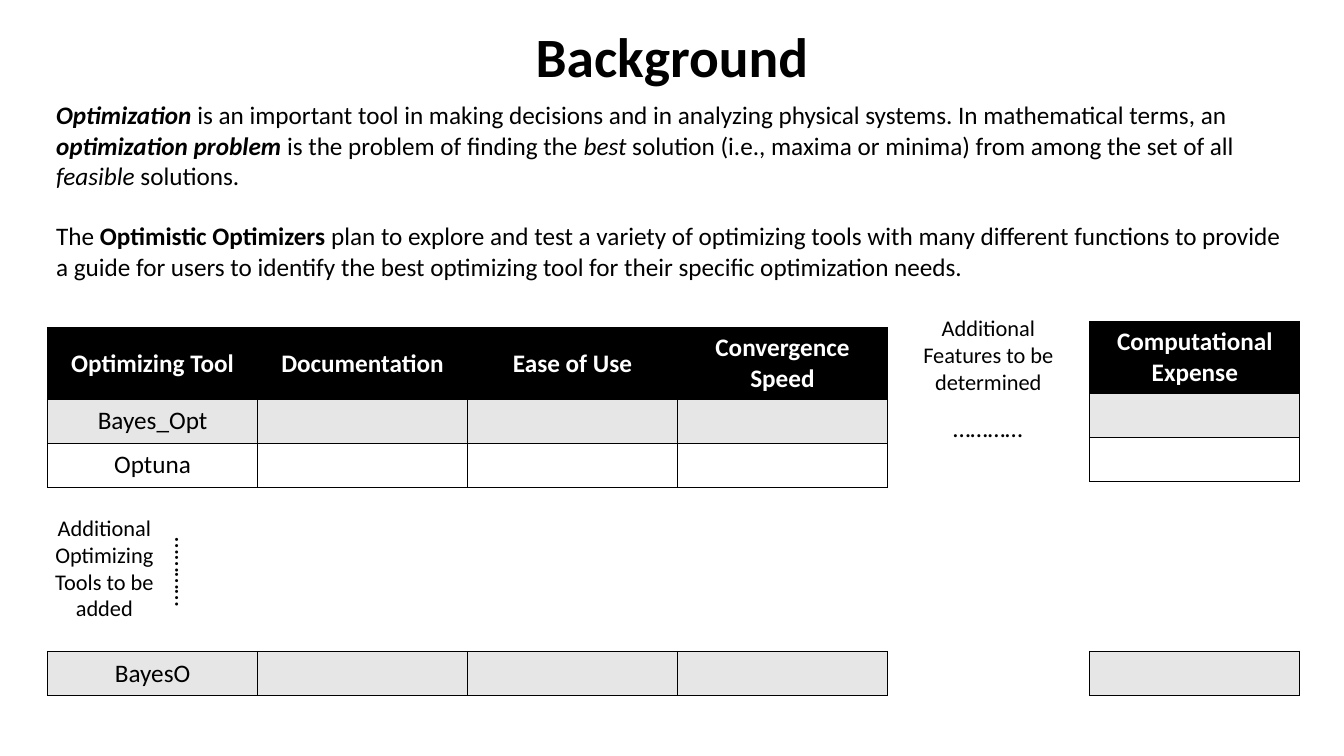
import pptx
import pptx.dml.color
import pptx.enum.text
import pptx.oxml
import pptx.oxml.ns
import pptx.util
from pptx.util import Pt

FONT = "Calibri"
BLACK, WHITE, GREY, LIGHT_GREY = "000000", "FFFFFF", "E7E6E6", "E7E7E7"
CENTER = pptx.enum.text.PP_ALIGN.CENTER
LEFT = pptx.enum.text.PP_ALIGN.LEFT
MIDDLE = pptx.enum.text.MSO_ANCHOR.MIDDLE

COLUMN_WIDTH = 150
HEADER_HEIGHT, ROW_HEIGHT = 51.1, 31.5
MAIN_LEFT, EXPENSE_LEFT = 34, 778.5
LAST_ROW_TOP = 465.3


def color(hex_string):
    return pptx.dml.color.RGBColor.from_string(hex_string)


def add_run(paragraph, text, size, hex_color=BLACK, style=""):
    """Style holds "b" for bold and "i" for italic."""
    run = paragraph.add_run()
    run.text = text
    run.font.name = FONT
    run.font.size = Pt(size)
    run.font.bold = "b" in style
    run.font.italic = "i" in style
    run.font.color.rgb = color(hex_color)


def set_title(slide, text):
    title = slide.shapes.title
    title.left, title.top, title.width, title.height = Pt(66), Pt(18.7), Pt(828), Pt(50.4)
    frame = title.text_frame
    frame.auto_size = pptx.enum.text.MSO_AUTO_SIZE.NONE
    frame.vertical_anchor = MIDDLE
    paragraph = frame.paragraphs[0]
    paragraph.alignment = CENTER
    paragraph.line_spacing = 0.8
    add_run(paragraph, text, 39.6, style="b")


def add_text(slide, left, top, width, height, paragraphs, size,
             alignment=CENTER, gap=0, rotation=0):
    """Each paragraph is a list of (text, style) runs."""
    box = slide.shapes.add_textbox(Pt(left), Pt(top), Pt(width), Pt(height))
    box.rotation = rotation
    frame = box.text_frame
    frame.word_wrap = True
    for index, runs in enumerate(paragraphs):
        paragraph = frame.add_paragraph() if index else frame.paragraphs[0]
        paragraph.alignment = alignment
        paragraph.space_before = Pt(gap if index else 0)
        for text, style in runs:
            add_run(paragraph, text, size, style=style)


def add_borders(cell):
    properties = cell._tc.get_or_add_tcPr()
    for side in ("lnL", "lnR", "lnT", "lnB"):
        properties.append(pptx.oxml.parse_xml(
            f'<a:{side} {pptx.oxml.ns.nsdecls("a")} w="{Pt(1)}">'
            f'<a:solidFill><a:srgbClr val="{BLACK}"/></a:solidFill></a:{side}>'))


def add_table(slide, left, top, rows, fills):
    """A row filled with black is a header."""
    heights = [HEADER_HEIGHT if fill == BLACK else ROW_HEIGHT for fill in fills]
    column_count = len(rows[0])
    table = slide.shapes.add_table(
        len(rows), column_count, Pt(left), Pt(top),
        Pt(column_count * COLUMN_WIDTH), Pt(sum(heights))).table
    table.first_row = fills[0] == BLACK
    table.horz_banding = False
    for column in table.columns:
        column.width = Pt(COLUMN_WIDTH)
    for row, height, texts, fill in zip(table.rows, heights, rows, fills):
        row.height = Pt(height)
        is_header = fill == BLACK
        for cell, text in zip(row.cells, texts):
            add_borders(cell)
            cell.fill.solid()
            cell.fill.fore_color.rgb = color(fill)
            cell.vertical_anchor = MIDDLE
            if text:
                paragraph = cell.text_frame.paragraphs[0]
                paragraph.alignment = CENTER
                add_run(paragraph, text, 18, WHITE if is_header else BLACK,
                        "b" if is_header else "")


def main():
    presentation = pptx.Presentation()
    presentation.slide_width, presentation.slide_height = Pt(960), Pt(540)
    slide = presentation.slides.add_slide(presentation.slide_layouts[5])
    set_title(slide, "Background")

    # Introduction; no-break spaces keep the emphasised terms with their neighbours
    definition = [
        ("Optimization", "bi"),
        (" is an important tool in making decisions and in analyzing physical systems. "
         "In mathematical terms, an ", ""),
        ("optimization problem", "bi"),
        (" is the problem of finding the ", ""),
        ("best", "i"),
        (" solution (i.e., maxima or minima) from among the set of all ", ""),
        ("feasible", "i"),
        (" solutions.", ""),
    ]
    plan = [
        ("The ", ""),
        ("Optimistic Optimizers", "b"),
        (" plan to explore and test a variety of optimizing tools with many different "
         "functions to provide a guide for users to identify the best optimizing tool "
         "for their specific optimization needs.", ""),
    ]
    add_text(slide, 33, 67.7, 894.3, 138.2, [definition, plan], 18, LEFT, gap=21.6)

    # Comparison tables
    add_table(slide, MAIN_LEFT, 234, [
        ["Optimizing Tool", "Documentation", "Ease of Use", "Convergence Speed"],
        ["Bayes_Opt", "", "", ""],
        ["Optuna", "", "", ""],
    ], [BLACK, GREY, WHITE])
    add_table(slide, EXPENSE_LEFT, 229.7,
              [["Computational Expense"], [""], [""]], [BLACK, LIGHT_GREY, WHITE])

    # Final row of each table
    add_table(slide, MAIN_LEFT, LAST_ROW_TOP, [["BayesO", "", "", ""]], [GREY])
    add_table(slide, EXPENSE_LEFT, LAST_ROW_TOP, [[""]], [GREY])

    # Notes on the columns and rows still to come
    add_text(slide, 648, 221, 116, 65.5,
             [[("Additional Features to be determined", "")]], 16)
    add_text(slide, 17.3, 363.6, 114.5, 85,
             [[("Additional Optimizing Tools to be added", "")]], 16)
    for left, top, rotation in ((666.7, 290.9, 0), (92.9, 393.8, 90)):
        add_text(slide, left, top, 77.8, 30.2, [[("…………", "")]], 18, rotation=rotation)

    presentation.save("out.pptx")


if __name__ == "__main__":
    main()
